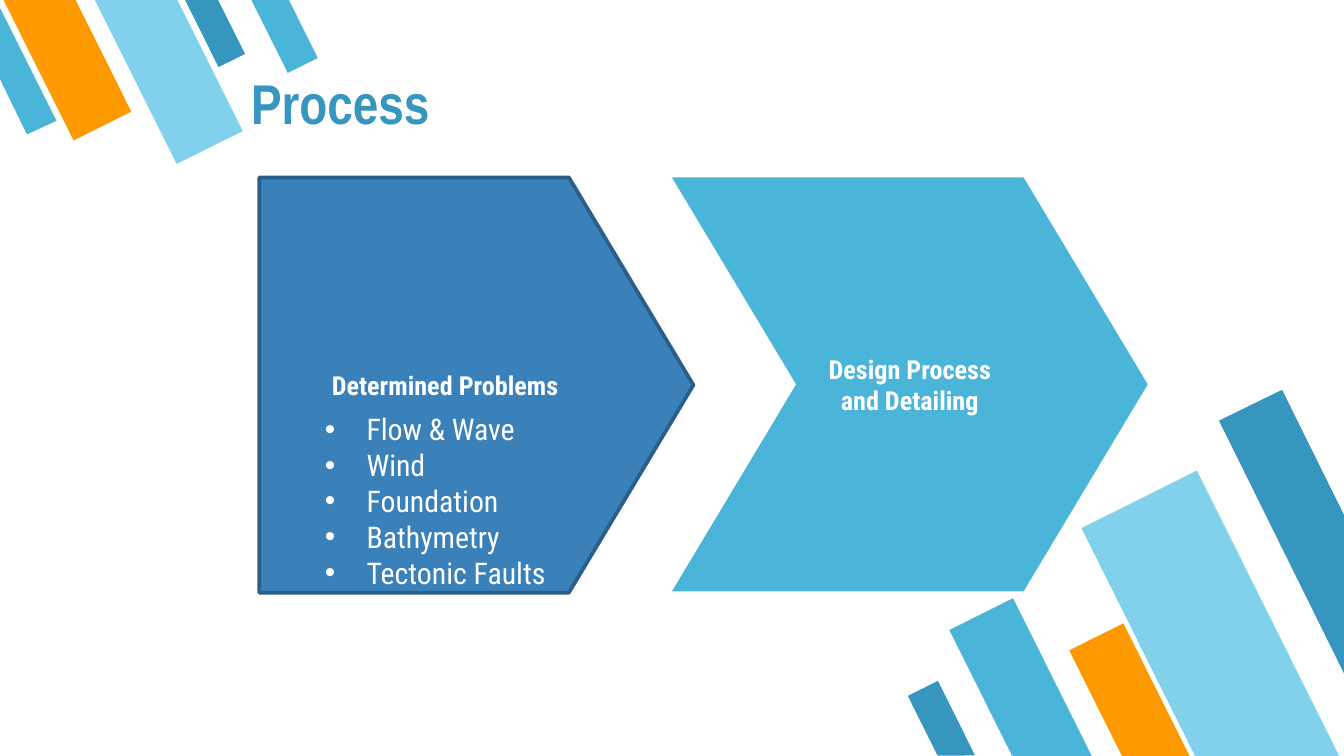
from dataclasses import dataclass

from lxml.etree import SubElement
from pptx import Presentation
from pptx.dml.color import RGBColor as Color
from pptx.enum.shapes import MSO_SHAPE as Preset
from pptx.enum.text import MSO_ANCHOR as Anchor, PP_ALIGN as Align
from pptx.oxml.ns import qn
from pptx.util import Inches, Pt

COLUMNS, ROWS = 100, 56.25
CELL = Inches(10) // COLUMNS


@dataclass(frozen=True)
class Theme:
    deep: str = "3796BF"
    bright: str = "4BB5D9"
    pale: str = "81D1EC"
    accent: str = "FF9900"
    problem: str = "3A81BA"
    problem_edge: str = "2B5F8A"
    white: str = "FFFFFF"
    heading_font: str = "Arial Narrow"
    body_font: str = "Roboto Condensed"
    title_size: int = 30
    label_size: int = 14
    list_size: int = 16


THEME = Theme()
TITLE = dict(name=THEME.heading_font, size=Pt(THEME.title_size), bold=True)
LABEL = dict(name=THEME.body_font, size=Pt(THEME.label_size), bold=True)
LIST = dict(name=THEME.body_font, size=Pt(THEME.list_size), bold=False)

LOWER_BARS = [
    ((73.3, 45, 5.3, 13.2), THEME.bright),
    ((85.3, 35.9, 9.6, 23.9), THEME.pale),
    ((81.8, 46.8, 4.5, 11.1), THEME.accent),
    ((68.8, 50.9, 2.5, 6.2), THEME.deep),
]
UPPER_BARS = [
    ((14.9, -0.8, 2.2, 5.6), THEME.deep),
    ((2.6, -1.8, 4.8, 11.8), THEME.accent),
    ((9.8, -2, 5.5, 13.7), THEME.pale),
    ((19.9, -1, 2.5, 6.2), THEME.bright),
]
LOWER_EDGE = [(95.4, 29), (90.7, 31.3), (100, 50.1), (100, 38.3)]
UPPER_EDGE = [(2, 10), (4.2, 9), (0, 0.6), (0, 5.9)]
PROBLEMS = ["Flow & Wave", "Wind", "Foundation", "Bathymetry", "Tectonic Faults"]


def grid(*cells):
    return [round(cell * CELL) for cell in cells]


def apply(target, values):
    for name, value in values.items():
        setattr(target, name, value)


def paint(shape, fill, edge=None):
    shape.shadow.inherit = False
    shape.fill.solid()
    shape.fill.fore_color.rgb = Color.from_string(fill)
    if edge:
        shape.line.color.rgb = Color.from_string(edge)
        shape.line.width = Pt(2)
    else:
        shape.line.fill.background()


def write(paragraph, text, style, color):
    paragraph.add_run().text = text
    font = paragraph.runs[0].font
    apply(font, style)
    font.color.rgb = Color.from_string(color)


def set_frame(frame, anchor, inset):
    sides = ("margin_left", "margin_top", "margin_right", "margin_bottom")
    apply(frame, dict(word_wrap=True, vertical_anchor=anchor))
    apply(frame, dict(zip(sides, grid(*inset))))


def add_bars(slide, bars, rotation):
    for box, color in bars:
        shape = slide.shapes.add_shape(Preset.FLOWCHART_MANUAL_INPUT, *grid(*box))
        paint(shape, color)
        shape.rotation = rotation
        shape.element.spPr.find(qn("a:xfrm")).set("flipH", "1")


def add_edge_bar(slide, points, color):
    start, *others = [tuple(grid(*point)) for point in points]
    builder = slide.shapes.build_freeform(*start)
    builder.add_line_segments(others, close=True)
    paint(builder.convert_to_shape(), color)


def add_title(slide, text):
    frame = slide.shapes.add_textbox(*grid(17.7, 3.7, 63, 7.4)).text_frame
    set_frame(frame, Anchor.BOTTOM, (1, 1, 1, 1))
    write(frame.paragraphs[0], text, TITLE, THEME.deep)


def add_step(slide, preset, box, text, fill, edge=None):
    shape = slide.shapes.add_shape(preset, *grid(*box))
    shape.adjustments[0] = 0.3
    paint(shape, fill, edge)
    set_frame(shape.text_frame, Anchor.MIDDLE, (1, 1, 1, 1))
    paragraph = shape.text_frame.paragraphs[0]
    paragraph.alignment = Align.CENTER
    write(paragraph, text, LABEL, THEME.white)


def add_bullet(paragraph):
    properties = paragraph._p.get_or_add_pPr()
    indent = grid(3.1)[0]
    properties.set("marL", str(indent))
    properties.set("indent", str(-indent))
    SubElement(properties, qn("a:buFont")).set("typeface", "Arial")
    SubElement(properties, qn("a:buChar")).set("char", "•")


def add_list(slide, items):
    frame = slide.shapes.add_textbox(*grid(23.2, 30.1, 30.7, 17.2)).text_frame
    set_frame(frame, Anchor.TOP, (1, 0.5, 1, 0.5))
    for index, item in enumerate(items):
        paragraph = frame.add_paragraph() if index else frame.paragraphs[0]
        add_bullet(paragraph)
        write(paragraph, item, LIST, THEME.white)


def main():
    presentation = Presentation()
    width, height = grid(COLUMNS, ROWS)
    apply(presentation, dict(slide_width=width, slide_height=height))
    slide = presentation.slides.add_slide(presentation.slide_layouts[6])
    add_bars(slide, LOWER_BARS, 153.5)
    add_edge_bar(slide, LOWER_EDGE, THEME.deep)
    add_bars(slide, UPPER_BARS, 333.5)
    add_edge_bar(slide, UPPER_EDGE, THEME.bright)
    add_title(slide, "Process")
    add_step(slide, Preset.PENTAGON, (19.3, 13.2, 32.3, 30.9),
             "Determined Problems", THEME.problem, THEME.problem_edge)
    add_step(slide, Preset.CHEVRON, (50, 13.2, 35.4, 30.8),
             "Design Process and Detailing", THEME.bright)
    add_list(slide, PROBLEMS)
    presentation.save("out.pptx")


if __name__ == "__main__":
    main()
